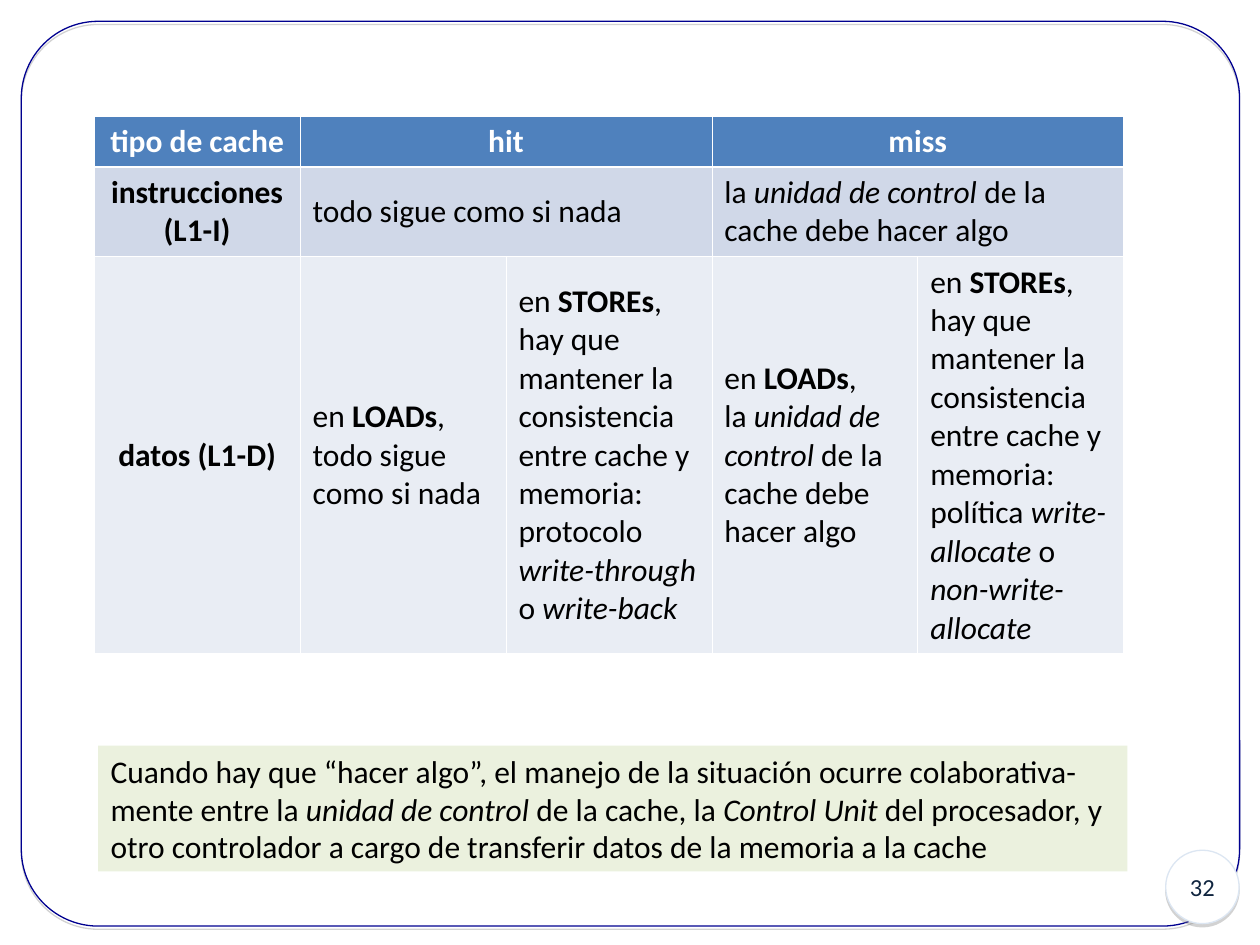
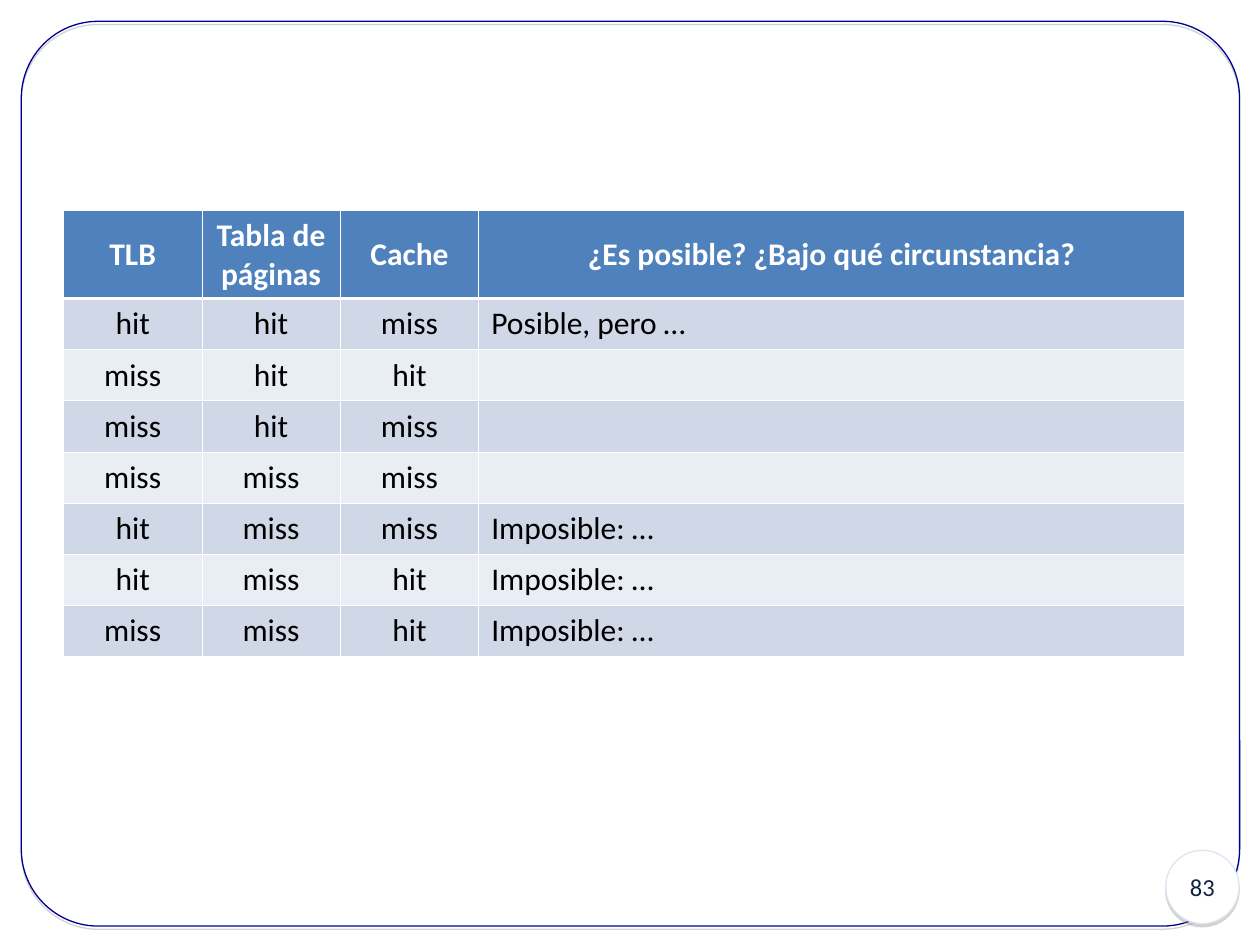
"""Two slides with tables on cache hits and misses, inside a shared rounded frame."""
from pptx import Presentation
from pptx.dml.color import RGBColor
from pptx.enum.shapes import MSO_SHAPE as Shape
from pptx.enum.text import MSO_ANCHOR as Anchor, MSO_AUTO_SIZE as AutoSize, PP_ALIGN as Align
from pptx.oxml import parse_xml
from pptx.oxml.ns import nsdecls, qn
from pptx.util import Cm, Pt

COLORS = {
    "frame": "000090", "badge": "FFFFFF", "badge line": "DCE6F2", "number": "10253F",
    "shadow": "808080", "header": "4F81BD", "odd row": "D0D8E8", "even row": "E9EDF4",
    "border": "FFFFFF", "header text": "FFFFFF", "text": "000000", "note": "EBF1DE",
}
FONT = "Calibri"
THIN, THICK = Pt(0.45), Pt(1.47)

# In texts, *bold* and _italic_; None continues the cell on its left.
CACHE_TYPES = {
    "number": 32,
    "at": (1.9, 2.34),
    "columns": [4.15] * 5,
    "rows": [1.02, 1.78, 7.88],
    "centred": {0},
    "bold": {0},
    "cells": [
        ["tipo de cache", "hit", None, "miss", None],
        ["instrucciones (L1-I)", "todo sigue como si nada", None,
         "la _unidad de control_ de la cache debe hacer algo", None],
        ["datos (L1-D)",
         "en *LOADs*,\ntodo sigue como si nada",
         "en *STOREs*,\nhay que mantener la consistencia entre cache y memoria: "
         "protocolo _write-through _o _write-back_",
         "en *LOADs*,\nla _unidad de control_ de la cache debe hacer algo",
         "en *STOREs*, hay que mantener la consistencia entre cache y memoria: "
         "política _write-allocate_ o _non-write-allocate_"],
    ],
    "note": "Cuando hay que “hacer algo”, el manejo de la situación ocurre colaborativa-mente "
            "entre la _unidad de control_ de la cache, la _Control Unit_ del procesador, y otro "
            "controlador a cargo de transferir datos de la memoria a la cache",
}
TLB_CASES = {
    "number": 83,
    "at": (1.28, 4.24),
    "columns": [2.79] * 3 + [14.23],
    "rows": [1.78] + [1.03] * 7,
    "centred": {0, 1, 2},
    "bold": set(),
    "cells": [
        ["TLB", "Tabla de páginas", "Cache", "¿Es posible? ¿Bajo qué circunstancia?"],
        ["hit", "hit", "miss", "Posible, pero …"],
        ["miss", "hit", "hit", ""],
        ["miss", "hit", "miss", ""],
        ["miss", "miss", "miss", ""],
        ["hit", "miss", "miss", "Imposible: …"],
        ["hit", "miss", "hit", "Imposible: …"],
        ["miss", "miss", "hit", "Imposible: …"],
    ],
}


def rgb(role):
    return RGBColor.from_string(COLORS[role])


def paint(target, role):
    target.fill.solid()
    target.fill.fore_color.rgb = rgb(role)


def write(text_frame, text, role="text", size=18, align=Align.LEFT, bold=False):
    for index, line in enumerate(text.split("\n")):
        paragraph = text_frame.add_paragraph() if index else text_frame.paragraphs[0]
        paragraph.alignment = align
        font = paragraph.font
        font.name, font.size, font.bold = FONT, Pt(size), bold
        font.color.rgb = rgb(role)
        for i, stretch in enumerate(line.split("_")):
            for j, piece in enumerate(stretch.split("*")):
                if piece:
                    run = paragraph.add_run()
                    run.text = piece
                    if i % 2:
                        run.font.italic = True
                    if j % 2:
                        run.font.bold = True


def add_shadowed(slide, kind, box, line_role):
    shape = slide.shapes.add_shape(kind, *map(Cm, box))
    shape.line.color.rgb = rgb(line_role)
    shape.line.width = Pt(0.75)
    shape.shadow.inherit = False
    shape._element.spPr.find(qn("a:effectLst")).append(parse_xml(
        f'<a:outerShdw {nsdecls("a")} blurRad="0" dist="{Pt(1.8)}" dir="5400000" rotWithShape="0">'
        f'<a:srgbClr val="{COLORS["shadow"]}"><a:alpha val="35000"/></a:srgbClr></a:outerShdw>'))
    return shape


def add_frame(slide, number):
    frame = add_shadowed(slide, Shape.ROUNDED_RECTANGLE, (0.43, 0.43, 24.56, 18.24), "frame")
    frame.adjustments[0] = 0.085
    frame.fill.background()
    badge = add_shadowed(slide, Shape.OVAL, (23.5, 17.14, 1.48, 1.48), "badge line")
    paint(badge, "badge")
    badge.text_frame.vertical_anchor = Anchor.MIDDLE
    write(badge.text_frame, str(number), "number", 14, Align.CENTER)


def set_borders(cell, row):
    widths = {"L": THIN, "R": THIN,
              "T": THICK if row == 1 else THIN, "B": THICK if row == 0 else THIN}
    for side, width in widths.items():
        cell._tc.get_or_add_tcPr().append(parse_xml(
            f'<a:ln{side} {nsdecls("a")} w="{width}"><a:solidFill>'
            f'<a:srgbClr val="{COLORS["border"]}"/></a:solidFill></a:ln{side}>'))


def add_cases(slide, content):
    columns, rows, cells = content["columns"], content["rows"], content["cells"]
    box = (*content["at"], sum(columns), sum(rows))
    table = slide.shapes.add_table(len(rows), len(columns), *map(Cm, box)).table
    for column, width in zip(table.columns, columns):
        column.width = Cm(width)
    for r, (height, texts) in enumerate(zip(rows, cells)):
        table.rows[r].height = Cm(height)
        header = r == 0
        band = "header" if header else "odd row" if r % 2 else "even row"
        for c, text in enumerate(texts):
            cell = table.cell(r, c)
            set_borders(cell, r)
            paint(cell, band)
            if text is None:
                table.cell(r, c - 1).merge(cell)
                continue
            cell.vertical_anchor = Anchor.MIDDLE
            write(cell.text_frame, text, "header text" if header else "text",
                  align=Align.CENTER if header or c in content["centred"] else Align.LEFT,
                  bold=header or c in content["bold"])


def add_note(slide, text):
    note = slide.shapes.add_textbox(*map(Cm, (1.98, 15.03, 20.75, 2.54)))
    paint(note, "note")
    note.text_frame.word_wrap = True
    note.text_frame.auto_size = AutoSize.SHAPE_TO_FIT_TEXT
    write(note.text_frame, text)


def main():
    deck = Presentation()
    deck.slide_width, deck.slide_height = Cm(25.4), Cm(19.05)
    for content in (CACHE_TYPES, TLB_CASES):
        slide = deck.slides.add_slide(deck.slide_layouts[6])
        add_frame(slide, content["number"])
        add_cases(slide, content)
        if "note" in content:
            add_note(slide, content["note"])
    deck.save("out.pptx")


if __name__ == "__main__":
    main()
